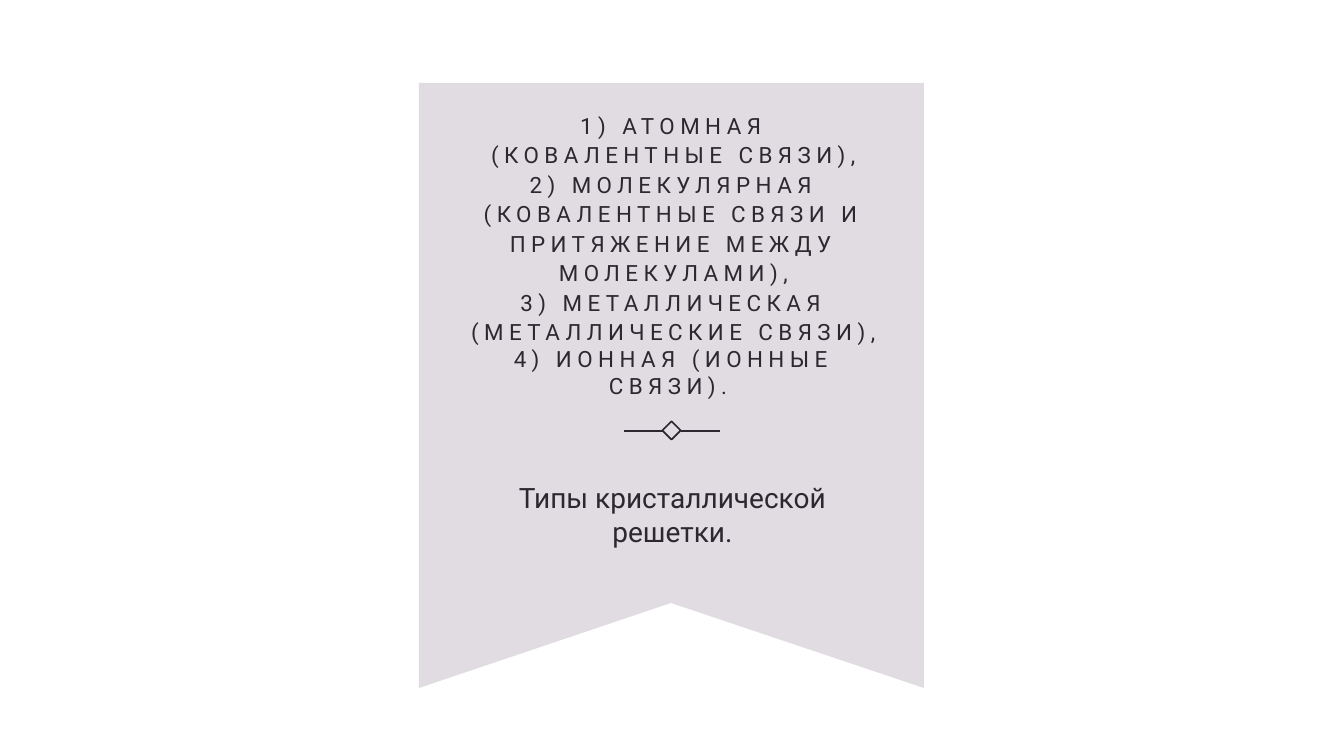
from pptx import Presentation
from pptx.dml.color import RGBColor
from pptx.enum.shapes import MSO_CONNECTOR, MSO_SHAPE
from pptx.enum.text import MSO_ANCHOR, PP_ALIGN
from pptx.oxml.ns import qn
from pptx.util import Pt
from lxml import etree

PX = 914400 / 100.8
STRAIGHT = MSO_CONNECTOR.STRAIGHT
RECTANGLE = MSO_SHAPE.RECTANGLE
TOP, BOTTOM = MSO_ANCHOR.TOP, MSO_ANCHOR.BOTTOM
CENTER = PP_ALIGN.CENTER
COLORS = {"page": "FFFFFF", "banner": "E0DCE1", "ink": "2C2830"}


def px(*lengths):
    return [round(length * PX) for length in lengths]


def add_text(bounds, anchor, paragraphs, size, tracking=0, space_before=0):
    box = page.shapes.add_textbox(*px(*bounds))
    frame = box.text_frame
    frame.word_wrap = True
    frame.vertical_anchor = anchor
    for index, (text, line_spacing) in enumerate(paragraphs):
        para = frame.add_paragraph() if index else frame.paragraphs[0]
        para.alignment = CENTER
        para.line_spacing = line_spacing
        para.space_before = Pt(space_before)
        span = para.add_run()
        span.text = text
        span.font.name = "Roboto"
        span.font.size = Pt(size)
        span.font.color.rgb = RGBColor.from_string(COLORS["ink"])
        if tracking:
            span.font._element.set("spc", str(tracking))


deck = Presentation()
deck.slide_width, deck.slide_height = px(1344, 756)
page = deck.slides.add_slide(deck.slide_layouts[6])
page.background.fill.solid()
page.background.fill.fore_color.rgb = RGBColor.from_string(COLORS["page"])

# Banner with a notched lower edge
outline = page.shapes.build_freeform(419, 83, scale=PX)
outline.add_line_segments([(924, 83), (924, 688), (671, 603), (419, 688)], close=True)
banner = outline.convert_to_shape()
banner.shadow.inherit = False
banner.fill.solid()
banner.fill.fore_color.rgb = RGBColor.from_string(COLORS["banner"])
banner.line.fill.background()

# List of lattice types
add_text((457, 154, 433, 250), BOTTOM, [
    ("1) АТОМНАЯ (КОВАЛЕНТНЫЕ СВЯЗИ),", 1.1),
    ("2) МОЛЕКУЛЯРНАЯ (КОВАЛЕНТНЫЕ СВЯЗИ И ПРИТЯЖЕНИЕ МЕЖДУ МОЛЕКУЛАМИ),", 1.1),
    ("3) МЕТАЛЛИЧЕСКАЯ (МЕТАЛЛИЧЕСКИЕ СВЯЗИ),", 1.1),
    ("4) ИОННАЯ (ИОННЫЕ СВЯЗИ). ", 1.0),
], size=16, tracking=390)

# Caption
add_text((456, 476, 433, 114), TOP, [("Типы кристаллической решетки.", 1.0)],
         size=20, space_before=10)

# Divider: a diamond between two rules
diamond = page.shapes.add_shape(RECTANGLE, *px(665, 424, 13, 13))
diamond.rotation = 45
diamond.shadow.inherit = False
diamond.fill.background()
strokes = [diamond]
for left, right in ((624, 663), (681, 720)):
    rule = page.shapes.add_connector(STRAIGHT, *px(left, 431, right, 431))
    etree.SubElement(rule._element.spPr, qn("a:effectLst"))
    strokes.append(rule)
for stroke in strokes:
    stroke.line.color.rgb = RGBColor.from_string(COLORS["ink"])
    stroke.line.width = Pt(1.25)

deck.save("out.pptx")
